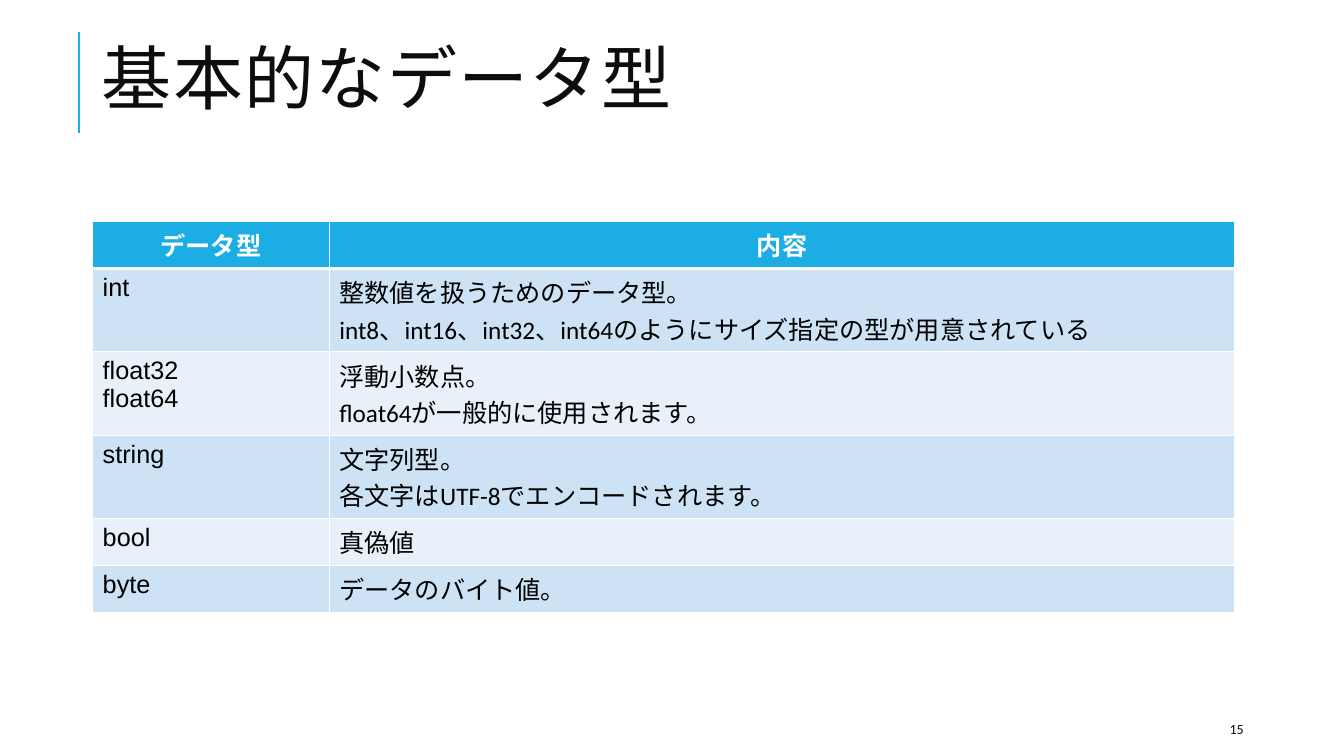
from dataclasses import dataclass
from lxml.etree import SubElement
from pptx import Presentation
from pptx.dml.color import RGBColor
from pptx.enum.shapes import MSO_CONNECTOR
from pptx.enum.text import MSO_ANCHOR, MSO_AUTO_SIZE, PP_ALIGN
from pptx.oxml import parse_xml
from pptx.oxml.ns import nsdecls, qn
from pptx.util import Pt


@dataclass(frozen=True)
class Theme:
    accent: str = "1CADE4"
    ink: str = "0D0D0D"
    black: str = "000000"
    white: str = "FFFFFF"
    bands: tuple = ("CDE3F5", "E8F1FA")
    code: str = "Arial"
    body: str = "Calibri"
    title: int = 50
    cell: int = 18
    small: int = 10


THEME = Theme()
HEAD = ("データ型", "内容")
TYPES = [
    (["int"], ["整数値を扱うためのデータ型。",
               "int8、int16、int32、int64のようにサイズ指定の型が用意されている"]),
    (["float32", "float64"], ["浮動小数点。", "float64が一般的に使用されます。"]),
    (["string"], ["文字列型。", "各文字はUTF-8でエンコードされます。"]),
    (["bool"], ["真偽値"]),
    (["byte"], ["データのバイト値。"]),
]
COLS = (169, 647)
LOW, HIGH = 33.8, 59.5  # rows of one and two lines


def add_run(para, text, font, size, color, bold=False):
    run = para.add_run()
    run.text = text
    run.font.name = font
    run.font.size = Pt(size)
    run.font.bold = bold
    run.font.color.rgb = RGBColor.from_string(color)
    return run


def add_title(slide, text):
    title = slide.shapes.title
    title.left, title.top = Pt(65.5), Pt(21.6)
    title.width, title.height = Pt(844.5), Pt(77.8)
    frame = title.text_frame
    frame.auto_size = MSO_AUTO_SIZE.NONE
    frame.vertical_anchor = MSO_ANCHOR.MIDDLE
    para = frame.paragraphs[0]
    para.alignment = PP_ALIGN.LEFT
    para.line_spacing = 0.8
    run = add_run(para, text, THEME.code, THEME.title, THEME.ink)
    run.font._element.set("spc", "100")


def add_rule(slide, x, top, end):
    rule = slide.shapes.add_connector(
        MSO_CONNECTOR.STRAIGHT, Pt(x), Pt(end), Pt(x), Pt(top))
    rule.line.color.rgb = RGBColor.from_string(THEME.accent)
    rule.line.width = Pt(1.5)
    SubElement(rule._element.spPr, qn("a:effectLst"))


def add_number(slide, text):
    box = slide.shapes.add_textbox(Pt(871.2), Pt(509.8), Pt(38.9), Pt(21.6))
    frame = box.text_frame
    frame.word_wrap = True
    frame.vertical_anchor = MSO_ANCHOR.MIDDLE
    add_run(frame.paragraphs[0], text, THEME.body, THEME.small, THEME.ink)


def add_edges(cell, widths):
    props = cell._tc.get_or_add_tcPr()
    for spot, (side, width) in enumerate(widths.items()):
        props.insert(spot, parse_xml(
            f'<a:ln{side} {nsdecls("a")} w="{Pt(width)}"><a:solidFill>'
            f'<a:srgbClr val="{THEME.white}"/></a:solidFill></a:ln{side}>'))


def fill_cell(cell, lines, fill, font, color, head=False, top=1, base=1):
    cell.fill.solid()
    cell.fill.fore_color.rgb = RGBColor.from_string(fill)
    add_edges(cell, {"L": 1, "R": 1, "T": top, "B": base})
    frame = cell.text_frame
    for i, line in enumerate(lines):
        para = frame.add_paragraph() if i else frame.paragraphs[0]
        para.alignment = PP_ALIGN.CENTER if head else PP_ALIGN.LEFT
        add_run(para, line, font, THEME.cell, color, head)


def add_grid(slide):
    tall = [LOW] + [HIGH if len(info) > 1 else LOW for _, info in TYPES]
    grid = slide.shapes.add_table(
        len(tall), len(COLS), Pt(66.2), Pt(158),
        Pt(sum(COLS)), Pt(sum(tall))).table
    for col, width in zip(grid.columns, COLS):
        col.width = Pt(width)
    for row, height in zip(grid.rows, tall):
        row.height = Pt(height)

    # Header row, with a heavy edge below
    for c, name in enumerate(HEAD):
        fill_cell(grid.cell(0, c), [name], THEME.accent, THEME.body,
                  THEME.white, head=True, base=3)

    # Banded rows
    for r, pair in enumerate(TYPES, 1):
        band = THEME.bands[(r - 1) % 2]
        for c, font in enumerate((THEME.code, THEME.body)):
            fill_cell(grid.cell(r, c), pair[c], band, font, THEME.black,
                      top=3 if r == 1 else 1)


def main():
    deck = Presentation()
    deck.slide_width, deck.slide_height = Pt(960), Pt(540)
    slide = deck.slides.add_slide(deck.slide_layouts[5])
    add_rule(slide, 56.5, 23, 95)
    add_title(slide, "基本的なデータ型")
    add_number(slide, "15")
    add_grid(slide)
    deck.save("out.pptx")


if __name__ == "__main__":
    main()
